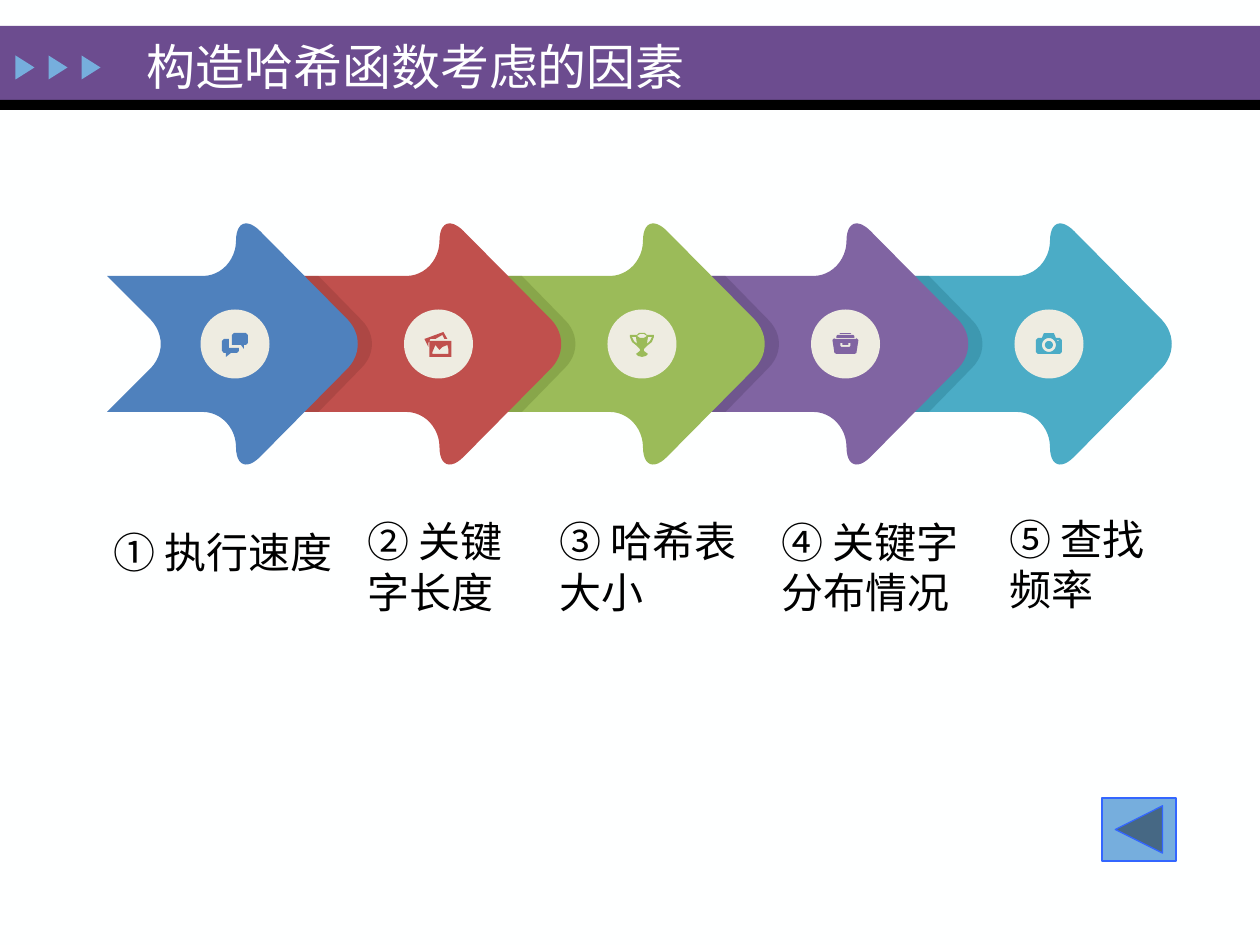
import math

import lxml.etree
import pptx
import pptx.dml.color
import pptx.enum.shapes
import pptx.enum.text
import pptx.oxml.ns
import pptx.util

RGB = pptx.dml.color.RGBColor
KIND = pptx.enum.shapes.MSO_SHAPE
PX = 914400 / 126

WHITE = RGB(0xFE, 0xFF, 0xFF)
BLACK = RGB(0x00, 0x00, 0x00)
PURPLE = RGB(0x6C, 0x4C, 0x8F)
SKY = RGB(0x76, 0xAE, 0xDD)
EDGE = RGB(0x33, 0x66, 0xFF)
CREAM = RGB(0xEE, 0xEC, 0xE1)
FONT = "Times New Roman"

# Arrow colour, shade colour, shade opacity in percent
TONES = [
    (RGB(0x4F, 0x81, 0xBD), None, 0),
    (RGB(0xC0, 0x50, 0x4D), RGB(0x63, 0x25, 0x23), 20),
    (RGB(0x9B, 0xBB, 0x59), RGB(0x77, 0x93, 0x3C), 50),
    (RGB(0x80, 0x64, 0xA2), RGB(0x60, 0x4A, 0x7B), 50),
    (RGB(0x4B, 0xAC, 0xC6), RGB(0x31, 0x85, 0x9C), 50),
]
# Text, left, width, height
LABELS = [
    ("① 执行速度", 101, 249, 78),
    ("② 关键字长度", 355, 186, 106),
    ("③ 哈希表大小", 547, 220, 106),
    ("④ 关键字分布情况", 769, 207, 107),
    ("⑤ 查找频率", 997, 183, 102),
]
FIRST, STEP, MID = 67, 203.5, 344
DISC, DISC_X = 69, 168

# Arrow parts: points from the arrow's left end and its middle line
NOSE = [(281, 24), (294, 10, 294, -10, 281, -24)]
HEAD = [(193, -113), (180, -126, 169, -122, 169, -103),
        (169, -84, 154, -68, 136, -68)]
TAIL = [(34, -68), (15, -68, 0, -53, 0, -34)]
NOTCH = [(40, -68), (84, -24), (97, -10, 97, 10, 84, 24), (40, 68)]
BEND = [(91, 24), (105, 10, 105, -10, 91, -24)]


def px(num):
    return pptx.util.Emu(round(num * PX))


def trace(parts):
    """Turn points and cubic curves into one list of points."""
    dots = []
    for part in parts:
        if len(part) == 2:
            dots.append(part)
            continue
        nodes = [dots[-1], part[:2], part[2:4], part[4:]]
        for t in (n / 12 for n in range(1, 13)):
            wts = ((1 - t) ** 3, 3 * t * (1 - t) ** 2, 3 * t * t * (1 - t), t ** 3)
            dots.append(tuple(sum(w * p[k] for w, p in zip(wts, nodes))
                              for k in (0, 1)))
    return dots


def flip(dots):
    """Mirror points over the middle line, in reverse order."""
    return [(x, -y) for x, y in reversed(dots)]


def ring(rad, mid_y):
    turns = [math.tau * n / 24 for n in range(24)]
    return [(rad * math.cos(a), mid_y + rad * math.sin(a)) for a in turns]


def icons():
    """Return the outlines of each icon, around the middle of its disc."""
    chat = [
        [(-6, 4), (-6, -5), (-11, -5), (-13, -3), (-13, 7), (-11, 9), (-9, 9),
         (-9, 13), (-4, 9), (2, 9), (4, 7), (4, 4)],
        [(-1, -11), (11, -11), (13, -9), (13, -1), (11, 1), (9, 1), (9, 5),
         (6, 1), (-3, 1), (-3, -9)],
    ]
    photos = [
        [(-14, -5), (5, -12), (9, -5), (6, -5), (4, -9), (-3, -5), (-8, -5),
         (-10, -1), (-10, 3)],
        [(-9, -3), (13, -3), (13, 13), (-9, 13)],
        [(-6, 10), (-6, 8), (-3, 1), (1, 6), (4, 3), (9, 1), (10, 5), (10, 10)],
    ]
    side = [(3, -11), (5, -9), (12, -9), (12, -7), (10, -2), (5, 2), (2, 5),
            (2, 7), (6, 10), (4, 12), (0, 13)]
    grip = [(6, -7), (10, -7), (8, -3), (5, 0)]
    cup = [
        side + [(-x, y) for x, y in reversed(side)],
        grip,
        [(-x, y) for x, y in grip],
        [(-5, -8), (-2, -10), (2, -10), (5, -8), (2, -6), (-2, -6)],
    ]
    tray = [
        [(-6, -10), (-5, -11), (5, -11), (6, -10)],
        [(-9, -6), (-9, -8), (-8, -9), (8, -9), (9, -8), (9, -6)],
        [(-11, -6), (-11, -5), (11, -5), (11, -6), (13, -4), (11, 9), (9, 10),
         (-9, 10), (-11, 9), (-13, -4)],
        [(-5, -1), (-3, -1), (-3, 1), (3, 1), (3, -1), (5, -1), (5, 2),
         (4, 3), (-4, 3), (-5, 2)],
    ]
    camera = [
        [(-13, -4), (-11, -6), (-7, -6), (-5, -11), (5, -11), (7, -6),
         (11, -6), (13, -4), (13, 8), (11, 10), (-11, 10), (-13, 8)],
        ring(7, 1),
        ring(4, 1),
        [(8, -4), (10, -4), (10, -3), (8, -3)],
    ]
    return [chat, photos, cup, tray, camera]


def paint(shape, color, edge=None):
    shape.shadow.inherit = False
    shape.fill.solid()
    shape.fill.fore_color.rgb = color
    if edge is None:
        shape.line.fill.background()
    else:
        shape.line.color.rgb = edge
        shape.line.width = pptx.util.Pt(0.75)


def add_solid(slide, kind, box, color, edge=None):
    shape = slide.shapes.add_shape(kind, *map(px, box))
    paint(shape, color, edge)
    return shape


def add_form(slide, loops, left, color, alpha=100):
    """Draw closed outlines as one shape, placed from left and MID."""
    loops = [[(px(left + x), px(MID + y)) for x, y in loop] for loop in loops]
    form = slide.shapes.build_freeform(*loops[0][0], scale=1.0)
    form.add_line_segments(loops[0][1:], close=True)
    for loop in loops[1:]:
        form.move_to(*loop[0])
        form.add_line_segments(loop[1:], close=True)
    shape = form.convert_to_shape()
    paint(shape, color)
    if alpha < 100:
        qn = pptx.oxml.ns.qn
        tint = shape.element.spPr.find(".//" + qn("a:srgbClr"))
        lxml.etree.SubElement(tint, qn("a:alpha")).set("val", str(alpha * 1000))


def set_text(shape, text, size, color):
    frame = shape.text_frame
    frame.text = text
    frame.word_wrap = True
    frame.auto_size = pptx.enum.text.MSO_AUTO_SIZE.NONE
    frame.vertical_anchor = pptx.enum.text.MSO_ANCHOR.MIDDLE
    para = frame.paragraphs[0]
    para.alignment = pptx.enum.text.PP_ALIGN.LEFT
    font = para.runs[0].font
    font.name, font.size = FONT, pptx.util.Pt(size)
    font.color.rgb = color


def add_header(slide):
    add_solid(slide, KIND.RECTANGLE, (0, 26, 1260, 74), PURPLE)
    add_solid(slide, KIND.RECTANGLE, (0, 100, 1260, 10), BLACK)
    for num in range(3):
        mark = add_solid(slide, KIND.ISOSCELES_TRIANGLE,
                         (13 + 33 * num, 58, 24, 19), SKY)
        mark.rotation = 90
    title = slide.shapes.title
    title.left, title.top, title.width, title.height = map(px, (134, 30, 684, 71))
    set_text(title, "构造哈希函数考虑的因素", 28, WHITE)
    title.element.getparent().append(title.element)


def add_arrows(slide):
    head, tail = trace(HEAD), trace(TAIL)
    round_end = tail + flip(tail)
    shade = trace(BEND) + [(48, -68)] + round_end + [(48, 68)]
    for num in reversed(range(len(TONES))):
        color, dark, alpha = TONES[num]
        left = FIRST + STEP * num
        end = round_end if num else trace(NOTCH)
        add_form(slide, [trace(NOSE) + head + end + flip(head)], left, color)
        if dark is not None:
            add_form(slide, [shade], left, dark, alpha)
    for num, loops in enumerate(icons()):
        mid = FIRST + STEP * num + DISC_X
        add_solid(slide, KIND.OVAL,
                  (mid - DISC / 2, MID - DISC / 2, DISC, DISC), CREAM)
        add_form(slide, loops, mid, TONES[num][0])


def main():
    deck = pptx.Presentation()
    deck.slide_width, deck.slide_height = px(1260), px(945)
    slide = deck.slides.add_slide(deck.slide_layouts[5])
    slide.background.fill.solid()
    slide.background.fill.fore_color.rgb = WHITE
    add_header(slide)
    add_arrows(slide)
    for text, left, width, height in LABELS:
        box = slide.shapes.add_textbox(*map(px, (left, 513, width, height)))
        set_text(box, text, 24, BLACK)
    add_solid(slide, KIND.ACTION_BUTTON_BACK_OR_PREVIOUS,
              (1102, 798, 74, 63), SKY, EDGE)
    deck.save("out.pptx")


if __name__ == "__main__":
    main()
